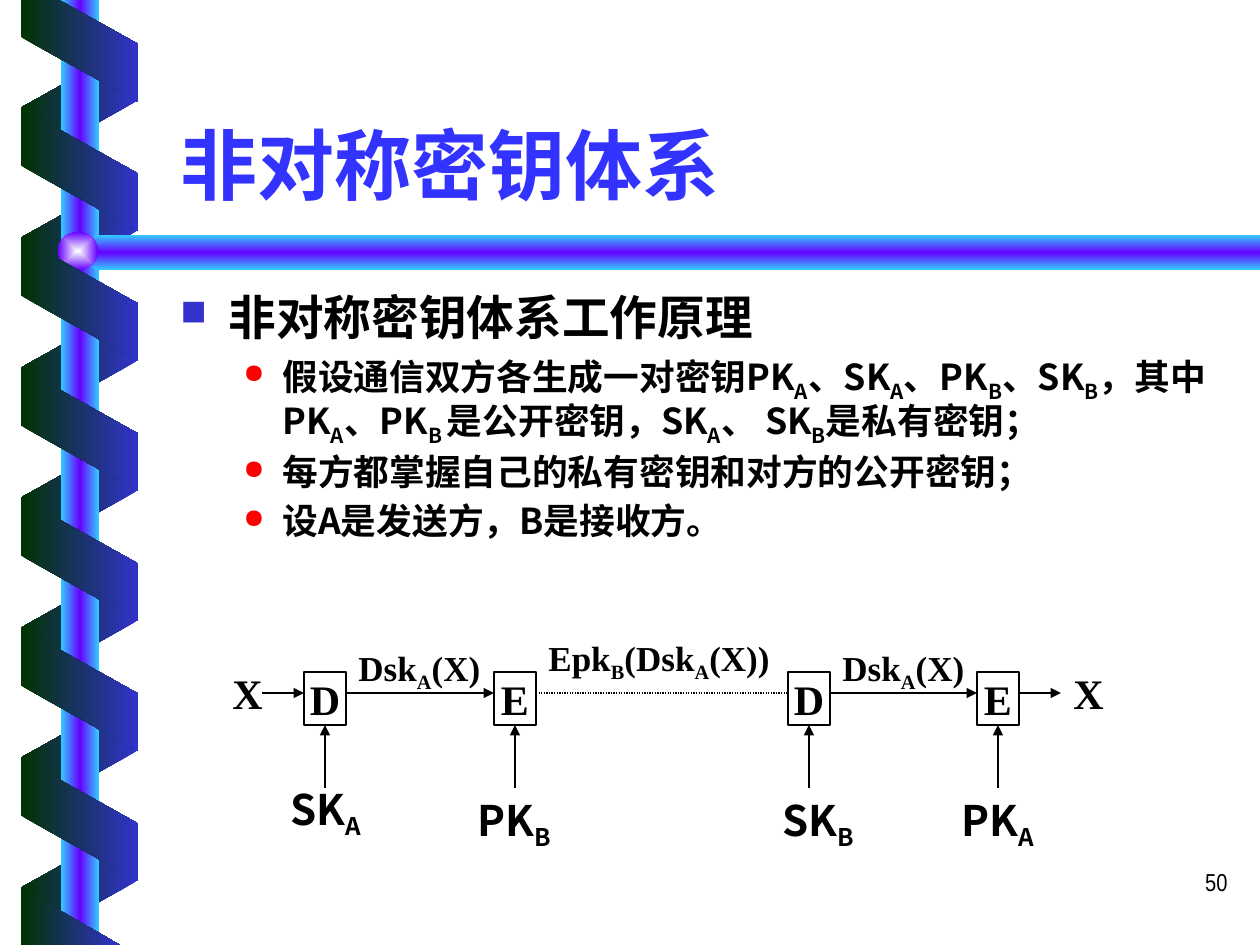
from dataclasses import dataclass
from typing import NamedTuple

from lxml.etree import SubElement
from pptx import Presentation
from pptx.dml.color import RGBColor
from pptx.enum.dml import MSO_LINE
from pptx.enum.shapes import MSO_CONNECTOR, MSO_SHAPE
from pptx.enum.text import MSO_ANCHOR, MSO_AUTO_SIZE, PP_ALIGN
from pptx.oxml import parse_xml
from pptx.oxml.ns import nsdecls, qn
from pptx.util import Emu, Pt

SCALE = 914400 / 126


@dataclass(frozen=True)
class Theme:
    black: str = "000000"
    white: str = "FFFFFF"
    title: str = "3333FF"
    blue: str = "3333CC"
    green: str = "003300"
    cyan: str = "33CCFF"
    violet: str = "6600FF"
    red: str = "FF0000"
    cjk: str = "Noto Sans CJK SC"
    serif: str = "Times New Roman"
    narrow: str = "Arial Narrow"
    title_size: float = 44
    head_size: float = 27.2
    item_size: float = 20.4
    node_size: float = 24
    flow_size: float = 20
    number_size: float = 14


class Box(NamedTuple):
    x: int
    y: int
    w: int
    h: int


class Label(NamedTuple):
    box: Box
    text: str
    size: float
    font: str
    align: PP_ALIGN = PP_ALIGN.LEFT
    bold: bool = True


class Node(NamedTuple):
    x: int
    name: str


class Flow(NamedTuple):
    start: int
    end: int
    dotted: bool = False


class Bullet(NamedTuple):
    char: str
    color: str
    margin: int
    hang: int


T = Theme()
AXIS_Y = 693
NODE_TOP, NODE_W, NODE_H = 672, 42, 53
KEY_LINE_BOTTOM = 788
RIBBON_PITCH = 130
SQUARE = Bullet("■", T.blue, 48, 48)
DOT = Bullet("●", T.red, 102, 39)

NODES = [Node(304, "D"), Node(494, "E"), Node(788, "D"), Node(977, "E")]
FLOWS = [Flow(262, 304), Flow(346, 494), Flow(536, 788, True), Flow(830, 977), Flow(1019, 1061)]
KEYS = [
    Label(Box(x, y, 105, 71), text, T.node_size, T.cjk, PP_ALIGN.CENTER)
    for x, y, text in [(273, 777, "SK|A"), (462, 788, "PK|B"), (766, 788, "SK|B"), (945, 788, "PK|A")]
]
LABELS = KEYS + [
    Label(Box(220, 661, 53, 63), "X", T.node_size, T.serif),
    Label(Box(346, 640, 158, 60), "Dsk|A|(X)", T.flow_size, T.serif),
    Label(Box(536, 630, 273, 60), "Epk|B|(Dsk|A|(X))", T.flow_size, T.serif),
    Label(Box(830, 640, 158, 60), "Dsk|A|(X)", T.flow_size, T.serif),
    Label(Box(1061, 661, 53, 63), "X", T.node_size, T.serif),
    Label(Box(978, 861, 262, 63), "50", T.number_size, T.narrow, PP_ALIGN.RIGHT, False),
]
HEADING = "非对称密钥体系工作原理"
ITEMS = [
    "假设通信双方各生成一对密钥PK|A|、SK|A|、PK|B|、SK|B|，其中PK|A|、PK|B |是公开密钥，SK|A|、 SK|B|是私有密钥；",
    "每方都掌握自己的私有密钥和对方的公开密钥；",
    "设A是发送方，B是接收方。",
]


def px(n: int) -> Emu:
    return Emu(round(n * SCALE))


def emu(box: Box) -> list[Emu]:
    return [px(n) for n in box]


def style_run(r, size: float, font: str, color: str = T.black, bold: bool = True) -> None:
    r.font.size, r.font.bold = Pt(size), bold
    r.font.color.rgb = RGBColor.from_string(color)
    r.font.name = font
    SubElement(r.font._element, qn("a:ea")).set("typeface", T.cjk)


def write(p, text: str, size: float, font: str, bold: bool = True) -> None:
    for i, part in enumerate(text.split("|")):
        r = p.add_run()
        r.text = part
        style_run(r, size, font, bold=bold)
        if i % 2:
            r.font._element.set("baseline", "-25000")


def gradient(sp, colors: list[str], angle: int = 0, radial: bool = False) -> None:
    last = len(colors) - 1
    stops = "".join(
        f'<a:gs pos="{100000 * i // last}"><a:srgbClr val="{c}"/></a:gs>' for i, c in enumerate(colors)
    )
    shade = (
        '<a:path path="rect"><a:fillToRect l="50000" t="50000" r="50000" b="50000"/></a:path>'
        if radial
        else f'<a:lin ang="{angle * 60000}" scaled="1"/>'
    )
    fill = parse_xml(
        f'<a:gradFill rotWithShape="0" {nsdecls("a")}><a:gsLst>{stops}</a:gsLst>{shade}</a:gradFill>'
    )
    sp.line.fill.background()
    sp.shadow.inherit = False
    sp._element.spPr.insert(2, fill)


def add_preset(s, kind: MSO_SHAPE, box: Box):
    return s.shapes.add_shape(kind, *emu(box))


def add_outline(s, points: list[tuple[int, int]]):
    fb = s.shapes.build_freeform(*points[0], scale=SCALE)
    fb.add_line_segments(points[1:], close=True)
    return fb.convert_to_shape()


def add_ribbon(s, box: Box, front: bool) -> None:
    sp = add_preset(s, MSO_SHAPE.PARALLELOGRAM, box)
    sp.adjustments[0] = 0.56
    sp.rotation = 270 if front else 90
    if not front:
        sp._element.spPr.xfrm.set("flipH", "1")
    gradient(sp, [T.green, T.blue] if front else [T.blue, T.green])


def add_spiral(s) -> None:
    for i in range(7):
        add_ribbon(s, Box(18, 46 + i * RIBBON_PITCH, 123, 116), False)
    tube = [T.cyan, T.violet, T.cyan]
    gradient(add_preset(s, MSO_SHAPE.RECTANGLE, Box(61, 0, 38, 945)), tube)
    bar = [(1260, 235), (96, 235), (76, 252), (96, 270), (1260, 270)]
    gradient(add_outline(s, bar), tube, angle=90)
    gradient(add_preset(s, MSO_SHAPE.OVAL, Box(58, 232, 40, 38)), ["FEFFFF", T.violet], radial=True)
    for i in range(6):
        add_ribbon(s, Box(18, 111 + i * RIBBON_PITCH, 123, 117), True)
    top = [(21, 0), (21, 37), (138, 102), (138, 44), (59, 0)]
    bottom = [(120, 945), (21, 888), (21, 945)]
    for points in (top, bottom):
        gradient(add_outline(s, points), [T.green, T.blue])


def add_title(s) -> None:
    sp = s.shapes.title
    sp.left, sp.top, sp.width, sp.height = emu(Box(168, 58, 1071, 158))
    tf = sp.text_frame
    tf.text = "非对称密钥体系"
    tf.auto_size, tf.vertical_anchor = MSO_AUTO_SIZE.NONE, MSO_ANCHOR.BOTTOM
    p = tf.paragraphs[0]
    p.alignment = PP_ALIGN.LEFT
    style_run(p.runs[0], T.title_size, T.cjk, T.title)


def add_bullet(p, bullet: Bullet) -> None:
    pPr = p._p.get_or_add_pPr()
    pPr.set("marL", str(px(bullet.margin)))
    pPr.set("indent", str(-px(bullet.hang)))
    SubElement(SubElement(pPr, qn("a:buClr")), qn("a:srgbClr")).set("val", bullet.color)
    SubElement(pPr, qn("a:buSzPct")).set("val", "75000")
    SubElement(pPr, qn("a:buChar")).set("char", bullet.char)


def add_body(s) -> None:
    tf = s.shapes.add_textbox(*emu(Box(168, 282, 1071, 338))).text_frame
    tf.word_wrap = True
    p = tf.paragraphs[0]
    add_bullet(p, SQUARE)
    write(p, HEADING, T.head_size, T.narrow)
    for item in ITEMS:
        p = tf.add_paragraph()
        p.level, p.line_spacing, p.space_before = 1, 0.9, Pt(6)
        add_bullet(p, DOT)
        write(p, item, T.item_size, T.cjk)


def add_label(s, label: Label) -> None:
    tf = s.shapes.add_textbox(*emu(label.box)).text_frame
    tf.word_wrap = True
    p = tf.paragraphs[0]
    p.alignment = label.align
    write(p, label.text, label.size, label.font, label.bold)


def add_line(s, start: tuple[int, int], end: tuple[int, int], dotted: bool = False) -> None:
    c = s.shapes.add_connector(MSO_CONNECTOR.STRAIGHT, *map(px, start + end))
    c.line.color.rgb, c.line.width = RGBColor.from_string(T.black), Pt(0.75)
    if dotted:
        c.line.dash_style = MSO_LINE.ROUND_DOT
    else:
        SubElement(c.line._get_or_add_ln(), qn("a:tailEnd")).set("type", "triangle")
    SubElement(c._element.spPr, qn("a:effectLst"))


def add_node(s, node: Node) -> None:
    sp = add_preset(s, MSO_SHAPE.RECTANGLE, Box(node.x, NODE_TOP, NODE_W, NODE_H))
    sp.shadow.inherit = False
    sp.fill.solid()
    sp.fill.fore_color.rgb = RGBColor.from_string(T.white)
    sp.line.color.rgb, sp.line.width = RGBColor.from_string(T.black), Pt(0.75)
    tf = sp.text_frame
    tf.word_wrap, tf.vertical_anchor = False, MSO_ANCHOR.MIDDLE
    p = tf.paragraphs[0]
    p.alignment = PP_ALIGN.CENTER
    write(p, node.name, T.node_size, T.serif)
    center = node.x + NODE_W // 2
    add_line(s, (center, KEY_LINE_BOTTOM), (center, NODE_TOP + NODE_H))


def main() -> None:
    prs = Presentation()
    prs.slide_width, prs.slide_height = px(1260), px(945)
    s = prs.slides.add_slide(prs.slide_layouts[5])
    add_spiral(s)
    add_title(s)
    add_body(s)
    for node in NODES:
        add_node(s, node)
    for flow in FLOWS:
        add_line(s, (flow.start, AXIS_Y), (flow.end, AXIS_Y), flow.dotted)
    for label in LABELS:
        add_label(s, label)
    prs.save("out.pptx")


if __name__ == "__main__":
    main()
